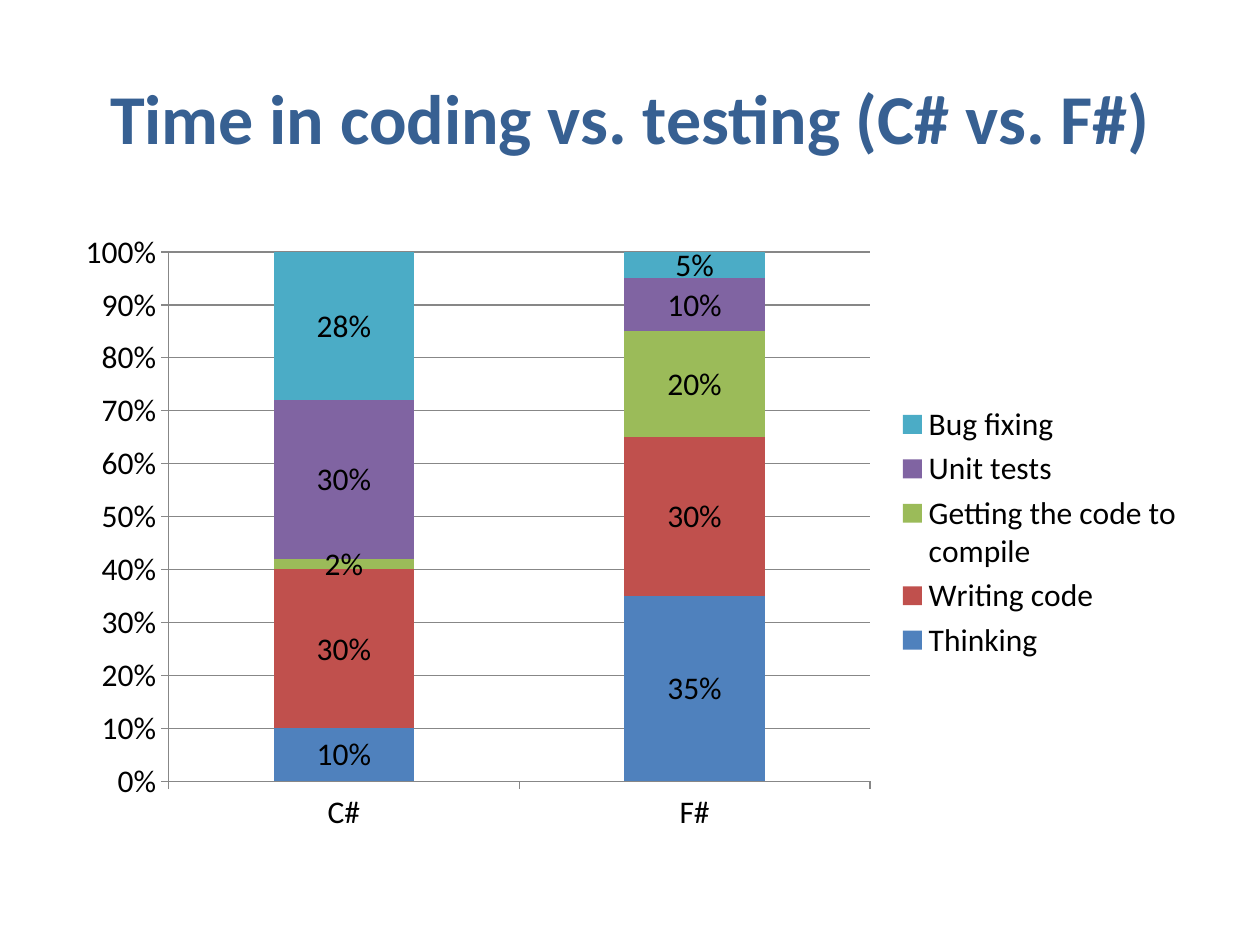
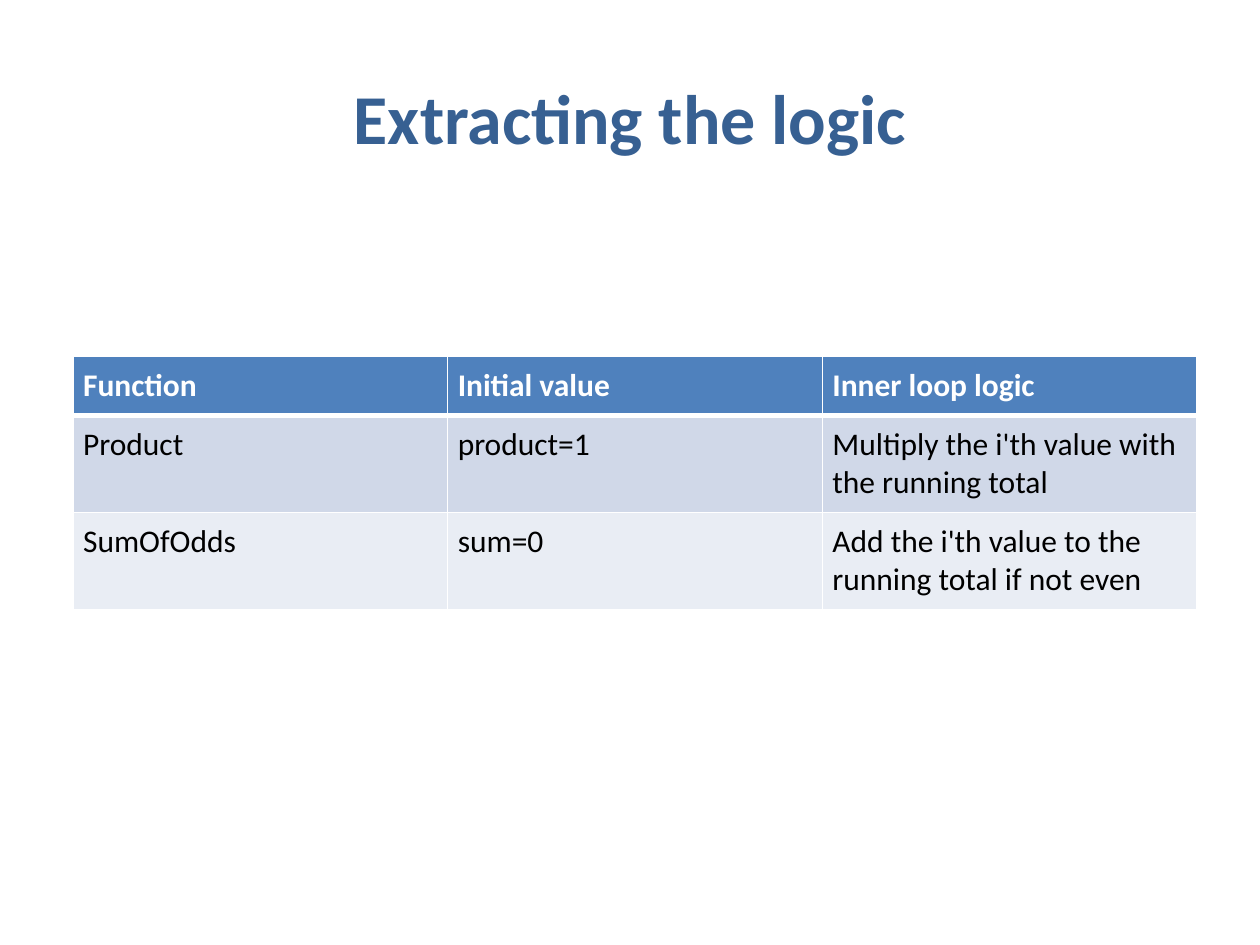
from lxml import etree
from pptx import Presentation
from pptx.chart.data import CategoryChartData
from pptx.dml.color import RGBColor
from pptx.enum.chart import XL_CHART_TYPE, XL_LEGEND_POSITION, XL_TICK_MARK
from pptx.enum.text import MSO_ANCHOR, PP_ALIGN
from pptx.oxml.ns import qn
from pptx.util import Inches, Pt

STACKED = XL_CHART_TYPE.COLUMN_STACKED_100
RIGHT = XL_LEGEND_POSITION.RIGHT
OUTSIDE = XL_TICK_MARK.OUTSIDE
MIDDLE, BOTTOM, TOP = MSO_ANCHOR.MIDDLE, MSO_ANCHOR.BOTTOM, MSO_ANCHOR.TOP
CENTER = PP_ALIGN.CENTER

FONT = "Calibri"
HEX = {
    "title": "376092", "text": "000000", "white": "FFFFFF", "grid": "878787",
    "blue": "4F81BD", "red": "C0504D", "green": "9BBB59",
    "purple": "8064A2", "teal": "4BACC6",
    "band": "D0D8E8", "pale": "E9EDF4",
}
TITLE_BOX = (0.5, 0.3, 9, 1.25)
CHART_BOX = (0.5, 1.75, 9, 4.95)
TABLE_BOX = (0.58, 2.83, 8.92, 2)

TITLE = {"name": FONT, "size": Pt(40), "bold": True}
HEAD = {"name": FONT, "size": Pt(18), "bold": True}
BODY = {"name": FONT, "size": Pt(18), "bold": False}

LANGS = ["C#", "F#"]
TASKS = [
    ("Thinking", (0.10, 0.35), "blue"),
    ("Writing code", (0.30, 0.30), "red"),
    ("Getting the code to compile", (0.02, 0.20), "green"),
    ("Unit tests", (0.30, 0.10), "purple"),
    ("Bug fixing", (0.28, 0.05), "teal"),
]
ROWS = [
    ("Function", "Initial value", "Inner loop logic"),
    ("Product", "product=1", "Multiply the i'th value with the running total"),
    ("SumOfOdds", "sum=0", "Add the i'th value to the running total if not even"),
]


def color(key):
    return RGBColor.from_string(HEX[key])


def assign(target, values):
    for key, value in values.items():
        setattr(target, key, value)


def style(font, form, key):
    assign(font, form)
    font.color.rgb = color(key)


def paint(fill, key):
    fill.solid()
    fill.fore_color.rgb = color(key)


def add_slide(deck, text):
    """Add a slide with the shared title style."""
    slide = deck.slides.add_slide(deck.slide_layouts[5])
    title = slide.shapes.title
    assign(title, dict(zip(("left", "top", "width", "height"), map(Inches, TITLE_BOX))))
    frame = title.text_frame
    frame.text = text
    frame.vertical_anchor = MIDDLE
    line = frame.paragraphs[0]
    line.alignment = CENTER
    style(line.runs[0].font, TITLE, "title")
    return slide


def add_bars(slide, box):
    """Draw the share of time per task as stacked columns."""
    data = CategoryChartData(number_format="0%")
    data.categories = LANGS
    for name, shares, _ in TASKS:
        data.add_series(name, shares)
    chart = slide.shapes.add_chart(STACKED, *map(Inches, box), data).chart
    style(chart.font, BODY, "text")
    chart.has_title = False

    # Legend
    chart.has_legend = True
    assign(chart.legend, {"position": RIGHT, "include_in_layout": False})

    # Axes and grid
    value = chart.value_axis
    value.has_major_gridlines = True
    value.tick_labels.number_format = "0%"
    value.tick_labels.number_format_is_linked = False
    for axis in (value, chart.category_axis):
        axis.major_tick_mark = OUTSIDE
    for part in (value, chart.category_axis, value.major_gridlines):
        part.format.line.color.rgb = color("grid")
        part.format.line.width = Pt(0.75)

    # Columns and labels
    plot = chart.plots[0]
    assign(plot, {"gap_width": 150, "overlap": 100, "vary_by_categories": False})
    for series, (_, _, key) in zip(plot.series, TASKS):
        paint(series.format.fill, key)
        labels = series.data_labels
        assign(labels, {"show_value": True, "number_format": "0%",
                        "number_format_is_linked": False})
        style(labels.font, BODY, "text")


def add_edge(cell, side, width):
    """Give one side of a cell a white line."""
    edge = etree.SubElement(cell._tc.get_or_add_tcPr(), qn("a:ln" + side),
                            w=str(Pt(width)))
    fill = etree.SubElement(edge, qn("a:solidFill"))
    etree.SubElement(fill, qn("a:srgbClr"), val=HEX["white"])


def fill_cell(cell, text, row):
    head = row == 0
    widths = {"L": 1, "R": 1, "T": 3 if row == 1 else 1, "B": 3 if head else 1}
    for side, width in widths.items():
        add_edge(cell, side, width)
    paint(cell.fill, ("blue", "band", "pale")[row])
    assign(cell, {"margin_" + side: Inches(0.08)
                  for side in ("left", "top", "right", "bottom")})
    cell.vertical_anchor = BOTTOM if head else TOP
    cell.text = text
    font = cell.text_frame.paragraphs[0].runs[0].font
    style(font, HEAD if head else BODY, "white" if head else "text")


def add_grid(slide, box):
    """Draw the table with a low header and equal rows below it."""
    count = len(ROWS[0])
    table = slide.shapes.add_table(len(ROWS), count, *map(Inches, box)).table
    top = 0.46
    rest = (box[3] - top) / (len(ROWS) - 1)
    for col in table.columns:
        col.width = Inches(box[2] / count)
    for row, texts in enumerate(ROWS):
        table.rows[row].height = Inches(rest if row else top)
        for col, text in enumerate(texts):
            fill_cell(table.cell(row, col), text, row)


def main():
    deck = Presentation()
    deck.slide_width, deck.slide_height = Inches(10), Inches(7.5)
    add_bars(add_slide(deck, "Time in coding vs. testing (C# vs. F#)"), CHART_BOX)
    add_grid(add_slide(deck, "Extracting the logic"), TABLE_BOX)
    deck.save("out.pptx")


if __name__ == "__main__":
    main()
